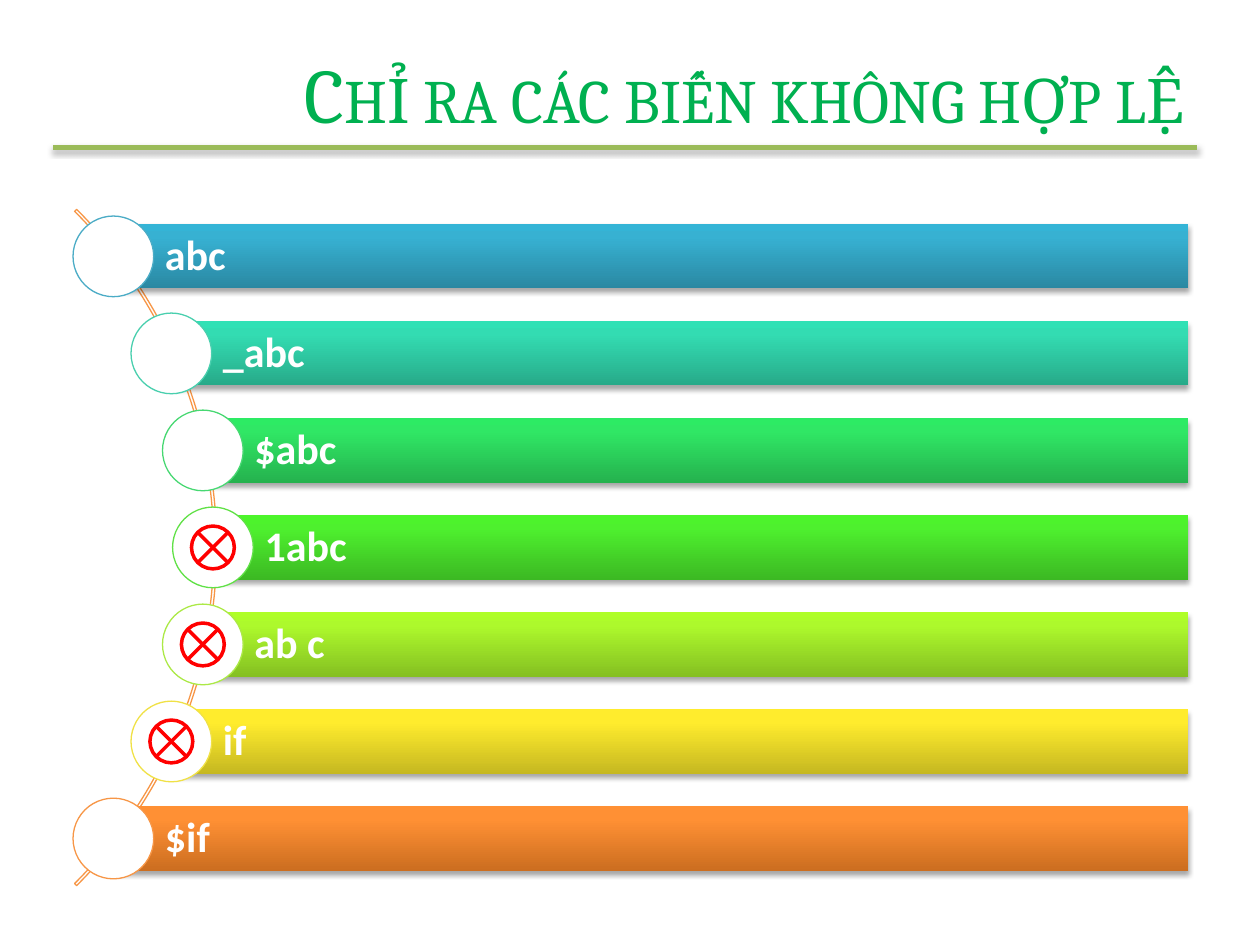
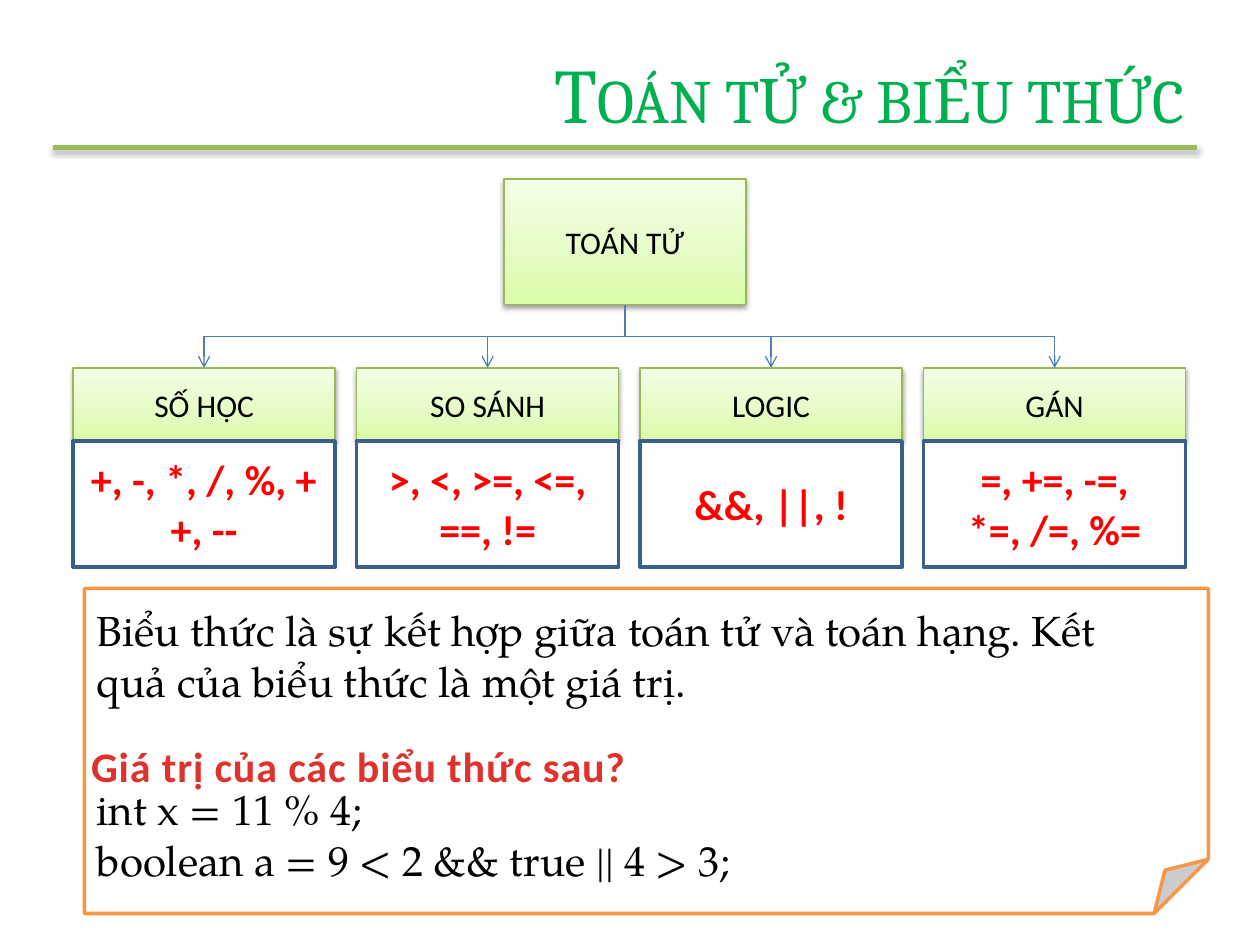
from dataclasses import dataclass
from typing import Any, NamedTuple, Optional

from lxml.etree import SubElement
from pptx import Presentation
from pptx.dml.color import RGBColor
from pptx.enum.shapes import MSO_CONNECTOR, MSO_SHAPE
from pptx.enum.text import MSO_ANCHOR, PP_ALIGN
from pptx.oxml.ns import qn
from pptx.util import Inches, Pt


class Shade(NamedTuple):
    stops: tuple[tuple[int, str], ...]
    angle: int = 90


class Shadow(NamedTuple):
    opacity: int
    distance: float
    blur: float = 3.1


@dataclass(frozen=True)
class Theme:
    heading: str = "Cambria"
    body: str = "Calibri"
    serif: str = "TeX Gyre Pagella"
    title_size: int = 44
    large: int = 24
    medium: int = 18
    title: str = "00B050"
    rule: str = "9BBB59"
    white: str = "FFFFFF"
    black: str = "000000"
    red: str = "FF0000"
    orange: str = "F79646"
    navy: str = "3A5F8C"
    blue: str = "4B7EBC"
    node_edge: str = "98B955"
    node: Shade = Shade(((0, "DAFDA7"), (35, "E4FCC2"), (100, "F5FFE7")))
    question: Shade = Shade(((25, "E0322D"), (100, "A2201C")), 270)
    soft: Shadow = Shadow(35, 1.8)
    node_shadow: Shadow = Shadow(38, 1.6)


THEME = Theme()


class Area(NamedTuple):
    left: float
    top: float
    width: float
    height: float

    def lengths(self) -> list[int]:
        return [Inches(value) for value in self]


@dataclass(frozen=True)
class Variable:
    name: str
    left: float
    edge: str
    colours: tuple[str, str, str]
    valid: bool = True


@dataclass(frozen=True)
class Operators:
    label: str
    symbols: str


VARIABLES = (
    Variable("abc", 0.9, "4BACC6", ("2A88A2", "37B1D2", "34B4D6")),
    Variable("_abc", 1.36, "49CFAE", ("27AA89", "33DCB2", "30E1B5")),
    Variable("$abc", 1.61, "47D872", ("25B24E", "30E765", "2DEB64")),
    Variable("1abc", 1.69, "60E146", ("3CB923", "4EF02E", "4CF52A"), False),
    Variable("ab c", 1.61, "ACE946", ("85C022", "ADF92C", "AFFE28"), False),
    Variable("if", 1.36, "F0E146", ("C6B821", "FFEC2D", "FFED2E"), False),
    Variable("$if", 0.9, "F79646", ("CC6E20", "FF9034", "FF9136")),
)

OPERATORS = (
    Operators("SỐ HỌC", "+, -, *, /, %, ++, --"),
    Operators("SO SÁNH", ">, <, >=, <=, ==, !="),
    Operators("LOGIC", "&&, ||, !"),
    Operators("GÁN", "=, +=, -=, *=, /=, %="),
)


def paint(fill: Any, owner: Any, colour: Any) -> None:
    if colour is None:
        fill.background()
    elif isinstance(colour, Shade):
        fill.gradient()
        fill.gradient_angle = colour.angle
        stops = owner.find(qn("a:gradFill")).find(qn("a:gsLst"))
        for stop in list(stops):
            stops.remove(stop)
        for position, value in colour.stops:
            stop = SubElement(stops, qn("a:gs"), pos=str(position * 1000))
            SubElement(stop, qn("a:srgbClr"), val=value)
    else:
        fill.solid()
        fill.fore_color.rgb = RGBColor.from_string(colour)


def cast_shadow(effects: Any, shadow: Shadow) -> None:
    outer = SubElement(
        effects, qn("a:outerShdw"), blurRad=str(Pt(shadow.blur)),
        dist=str(Pt(shadow.distance)), dir="5400000", rotWithShape="0",
    )
    colour = SubElement(outer, qn("a:srgbClr"), val=THEME.black)
    SubElement(colour, qn("a:alpha"), val=str(shadow.opacity * 1000))


def write(
    shape: Any, text: str, *, font: str = THEME.body, size: int = THEME.large,
    colour: Any = THEME.black, bold: bool = False, small_caps: bool = False,
    align: Any = PP_ALIGN.LEFT, anchor: Any = MSO_ANCHOR.TOP, wrap: bool = True,
    left_inset: float = 0.1, line_spacing: float = 1.0, tracking: float = 0,
) -> None:
    frame = shape.text_frame
    frame.word_wrap = wrap
    frame.vertical_anchor = anchor
    frame.margin_left = Inches(left_inset)
    for index, line in enumerate(text.split("\n")):
        para = frame.add_paragraph() if index else frame.paragraphs[0]
        para.alignment = align
        para.line_spacing = line_spacing
        span = para.add_run()
        span.text = line
        span.font.name = font
        span.font.size = Pt(size)
        span.font.bold = bold
        properties = span.font._element
        paint(span.font.fill, properties, colour)
        if small_caps:
            properties.set("cap", "small")
        if tracking:
            properties.set("spc", str(round(tracking * 100)))


def add_text(page: Any, area: Area, text: str, **style: Any) -> None:
    write(page.shapes.add_textbox(*area.lengths()), text, **style)


def add_box(
    page: Any, kind: Any, area: Area, *, fill: Any = None, edge: Optional[str] = None,
    weight: float = 0.75, shadow: Optional[Shadow] = None,
) -> Any:
    box = page.shapes.add_shape(kind, *area.lengths())
    properties = box._element.spPr
    paint(box.fill, properties, fill)
    paint(box.line.fill, properties, edge)
    if edge:
        box.line.width = Pt(weight)
    box.shadow.inherit = False
    if shadow:
        cast_shadow(properties.find(qn("a:effectLst")), shadow)
    return box


def style_line(line: Any, colour: str, weight: float) -> Any:
    line.line.color.rgb = RGBColor.from_string(colour)
    line.line.width = Pt(weight)
    return SubElement(line._element.spPr, qn("a:effectLst"))


def add_page(deck: Any, title: str) -> Any:
    page = deck.slides.add_slide(deck.slide_layouts[6])
    rule = page.shapes.add_connector(
        MSO_CONNECTOR.STRAIGHT, Inches(0.42), Inches(1.17), Inches(9.5), Inches(1.17)
    )
    cast_shadow(style_line(rule, THEME.rule, 3), THEME.soft)
    add_text(
        page, Area(1.45, 0.3, 8.05, 0.87), title, font=THEME.heading,
        size=THEME.title_size, colour=THEME.title, small_caps=True,
        align=PP_ALIGN.RIGHT, anchor=MSO_ANCHOR.MIDDLE,
    )
    return page


def add_variable(page: Any, row: int, variable: Variable) -> None:
    right, bar_height, circle, mark = 9.43, 0.51, 0.64, 0.34
    top = 1.78 + 0.77 * row
    bar = add_box(
        page, MSO_SHAPE.RECTANGLE,
        Area(variable.left, top, right - variable.left, bar_height),
        fill=Shade(tuple(zip((0, 80, 100), variable.colours))), shadow=THEME.soft,
    )
    write(
        bar, variable.name, colour=THEME.white, bold=True,
        anchor=MSO_ANCHOR.MIDDLE, left_inset=0.41, line_spacing=0.9,
    )
    middle = top + bar_height / 2
    add_box(
        page, MSO_SHAPE.OVAL,
        Area(variable.left - circle / 2, middle - circle / 2, circle, circle),
        fill=THEME.white, edge=variable.edge,
    )
    if not variable.valid:
        add_box(
            page, MSO_SHAPE.FLOWCHART_SUMMING_JUNCTION,
            Area(variable.left - mark / 2, middle - mark / 2, mark, mark),
            edge=THEME.red, weight=2,
        )


def add_node(page: Any, area: Area, label: str) -> Any:
    node = add_box(
        page, MSO_SHAPE.RECTANGLE, area, fill=THEME.node,
        edge=THEME.node_edge, shadow=THEME.node_shadow,
    )
    write(
        node, label, size=THEME.medium, align=PP_ALIGN.CENTER, anchor=MSO_ANCHOR.MIDDLE
    )
    return node


def add_branch(page: Any, parent: Any, child: Any) -> None:
    start = parent.left + parent.width // 2
    end = child.left + child.width // 2
    top = parent.top + parent.height
    drop, spread = child.top - top, abs(end - start)
    branch = page.shapes.add_connector(MSO_CONNECTOR.ELBOW, start, top, end, child.top)
    branch.begin_connect(parent, 2)
    branch.end_connect(child, 0)
    branch.left = (start + end - drop) // 2
    branch.top = top + (drop - spread) // 2
    branch.width, branch.height = drop, spread
    frame = branch._element.spPr.find(qn("a:xfrm"))
    rightward = end > start
    frame.set("rot", str((270 if rightward else 90) * 60000))
    frame.set("flipH", "1" if rightward else "0")
    style_line(branch, THEME.blue, 0.75)
    SubElement(branch._element.spPr.find(qn("a:ln")), qn("a:tailEnd"), type="arrow")


def build_variables(deck: Any) -> None:
    page = add_page(deck, "Chỉ ra các biến không hợp lệ")
    arc = add_box(
        page, MSO_SHAPE.BLOCK_ARC, Area(-5.87, 0.55, 7.59, 7.59), edge=THEME.orange
    )
    for index, value in enumerate((189, 27, 0.003)):
        arc.adjustments[index] = value
    for row, variable in enumerate(VARIABLES):
        add_variable(page, row, variable)


def build_operators(deck: Any) -> None:
    page = add_page(deck, "Toán tử & biểu thức")
    add_box(
        page, MSO_SHAPE.FOLDED_CORNER, Area(0.67, 4.67, 8.92, 2.58),
        fill=THEME.white, edge=THEME.orange, weight=2,
    )
    root = add_node(page, Area(4, 1.42, 1.92, 1), "TOÁN TỬ")
    for column, group in enumerate(OPERATORS):
        left = 0.58 + 2.25 * column
        node = add_node(page, Area(left, 2.92, 2.08, 0.58), group.label)
        symbols = add_box(
            page, MSO_SHAPE.RECTANGLE, Area(left, 3.5, 2.08, 1),
            fill=THEME.white, edge=THEME.navy, weight=2,
        )
        write(
            symbols, group.symbols, colour=THEME.red, bold=True,
            align=PP_ALIGN.CENTER, anchor=MSO_ANCHOR.MIDDLE,
        )
        add_branch(page, root, node)
    add_text(
        page, Area(0.67, 4.75, 8.55, 0.91),
        "Biểu thức là sự kết hợp giữa toán tử và toán hạng. "
        "Kết quả của biểu thức là một giá trị.",
        font=THEME.serif,
    )
    add_text(
        page, Area(0.67, 6.17, 8.58, 0.91),
        "int x = 11 % 4;\nboolean a = 9 < 2 && true || 4 > 3;", font=THEME.serif,
    )
    add_text(
        page, Area(0.6, 5.83, 4.49, 0.5), "Giá trị của các biểu thức sau?",
        colour=THEME.question, bold=True, align=PP_ALIGN.CENTER, wrap=False, tracking=0.5,
    )


def main() -> None:
    deck = Presentation()
    deck.slide_width, deck.slide_height = Inches(10), Inches(7.5)
    build_variables(deck)
    build_operators(deck)
    deck.save("out.pptx")


if __name__ == "__main__":
    main()
